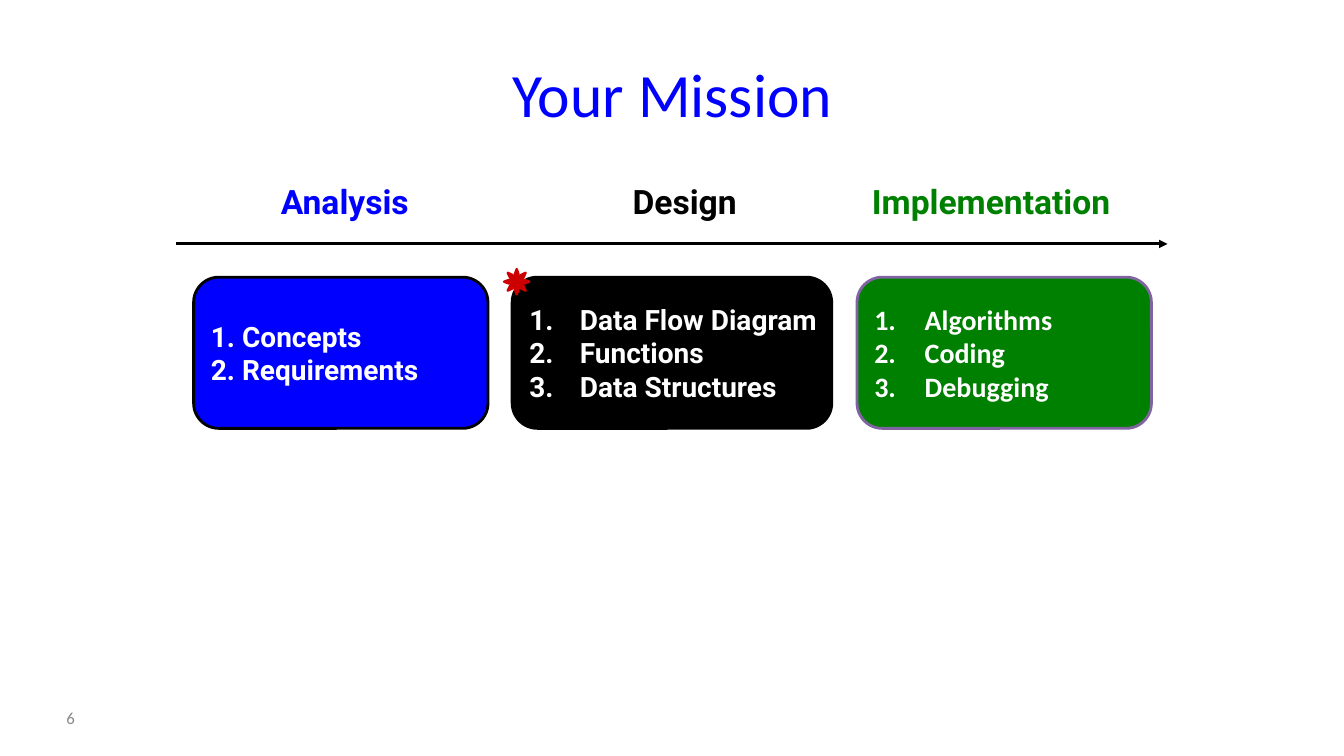
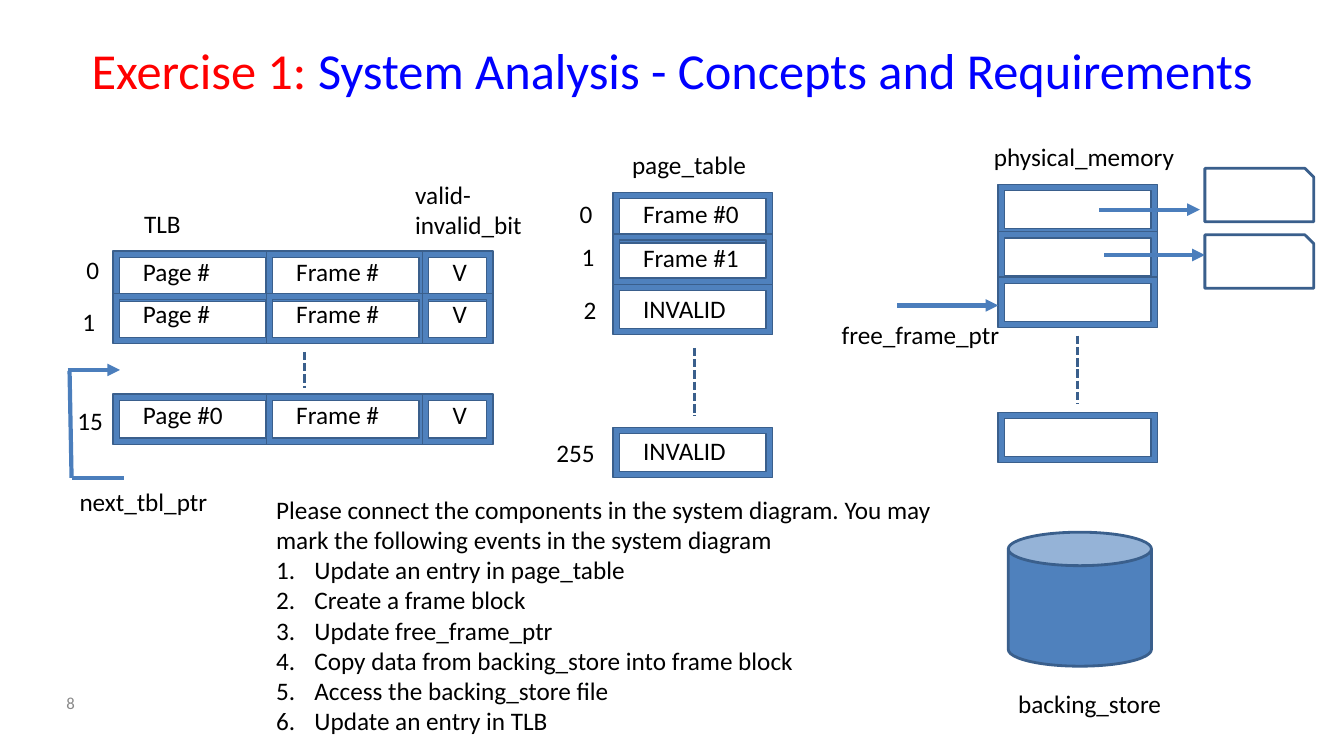
from lxml import etree
from pptx import Presentation
from pptx import util as u
from pptx.dml.color import RGBColor
from pptx.enum import dml, shapes, text
from pptx.oxml.ns import qn

BLUE, RED, GREEN = "0000FF", "FF0000", "008000"
BLACK, WHITE, GREY = "000000", "FFFFFF", "898989"
STEEL, EDGE, ARROW = "4F81BD", "3A5F8C", "4B7EBC"
PURPLE, CRIMSON = "8064A2", "CC0000"
SHAPE, ALIGN = shapes.MSO_SHAPE, text.PP_ALIGN
MIDDLE, TOP = text.MSO_ANCHOR.MIDDLE, text.MSO_ANCHOR.TOP


def rgb(color):
    return RGBColor.from_string(color)


class Slides:
    """Holds the shared style and the slide being drawn."""

    def __init__(self):
        self.deck = Presentation()
        self.deck.slide_width = u.Inches(13.33)
        self.deck.slide_height = u.Inches(7.5)
        self.page = None

    def new_page(self, title, number, top, height, size, number_top):
        """Start a slide; title is a list of (words, colour)."""
        self.page = self.deck.slides.add_slide(self.deck.slide_layouts[6])
        box = self.label("", 0.67, top, 12, height, size=size,
                         align=ALIGN.CENTER, anchor=MIDDLE)
        for words, color in title:
            span = box.text_frame.paragraphs[0].add_run()
            span.text = words
            span.font.color.rgb = rgb(color)
        self.label(number, 0.56, number_top, 1.44, 0.4, size=12,
                   color=GREY, anchor=MIDDLE)

    def set_text(self, frame, lines, size=18, color=BLACK, font="Calibri",
                 bold=False, align=ALIGN.LEFT, anchor=TOP, wrap=True,
                 numbered_from=None, indent=0.5):
        """Fill a text frame; lines from numbered_from on are numbered."""
        frame.word_wrap = wrap
        frame.vertical_anchor = anchor
        for index, line in enumerate(lines):
            para = frame.add_paragraph() if index else frame.paragraphs[0]
            if line:
                para.add_run().text = line
            para.alignment = align
            if numbered_from is not None and index >= numbered_from:
                props = para._p.get_or_add_pPr()
                props.set("marL", str(u.Inches(indent)))
                props.set("indent", str(-u.Inches(indent)))
                etree.SubElement(props, qn("a:buFont"), typeface="+mj-lt")
                etree.SubElement(props, qn("a:buAutoNum"),
                                 type="arabicPeriod")
            para.font.name = font
            para.font.size = u.Pt(size)
            para.font.bold = bold
            para.font.color.rgb = rgb(color)

    def label(self, words, left, top, width, height=0.4, **style):
        box = self.page.shapes.add_textbox(
            u.Inches(left), u.Inches(top), u.Inches(width), u.Inches(height))
        lines = [words] if isinstance(words, str) else words
        self.set_text(box.text_frame, lines, **style)
        return box

    def shape(self, kind, left, top, width, height, fill=None, line=EDGE,
              weight=2):
        shape = self.page.shapes.add_shape(
            kind, u.Inches(left), u.Inches(top),
            u.Inches(width), u.Inches(height))
        shape.shadow.inherit = False
        if fill:
            shape.fill.solid()
            shape.fill.fore_color.rgb = rgb(fill)
        else:
            shape.fill.background()
        shape.line.color.rgb = rgb(line)
        shape.line.width = u.Pt(weight)
        return shape

    def line(self, x1, y1, x2, y2, color=ARROW, weight=3, arrow=False,
             dashed=False):
        line = self.page.shapes.add_connector(
            shapes.MSO_CONNECTOR.STRAIGHT, u.Inches(x1), u.Inches(y1),
            u.Inches(x2), u.Inches(y2))
        line.line.color.rgb = rgb(color)
        line.line.width = u.Pt(weight)
        if dashed:
            line.line.dash_style = dml.MSO_LINE.SQUARE_DOT
        props = line._element.spPr
        if arrow:
            etree.SubElement(props.find(qn("a:ln")), qn("a:tailEnd"),
                             type="triangle")
        etree.SubElement(props, qn("a:effectLst"))

    def dots(self, x, top, bottom):
        self.line(x, top, x, bottom, EDGE, 2, dashed=True)

    def cell(self, left, top, width=1.58, words=None, words_top=0):
        """A framed table cell, with its words if it has any."""
        self.shape(SHAPE.FRAME, left, top, width, 0.5, STEEL, weight=1)
        if words:
            self.label(words, left + 0.2, words_top, width - 0.35, wrap=False)

    def card(self, left, width, lines, fill, line, font, numbered):
        card = self.shape(SHAPE.ROUNDED_RECTANGLE, left, 2.75, width, 1.5,
                          fill, line)
        self.set_text(card.text_frame, lines, 20, WHITE, font, True,
                      anchor=MIDDLE, wrap=False,
                      numbered_from=0 if numbered else None)


def mission(slides):
    slides.new_page([("Your Mission", BLUE)], "6", 0.3, 1.25, 44, 6.92)

    # Phase headings above the time line
    for words, left, width, color in (("Analysis", 1.92, 3, BLUE),
                                      ("Design", 5.08, 3.42, BLACK),
                                      ("Implementation", 8.37, 2.92, GREEN)):
        slides.label(words, left, 1.75, width, 0.5, size=24, color=color,
                     font="Roboto", bold=True, align=ALIGN.CENTER)
    slides.line(1.75, 2.42, 11.58, 2.42, BLACK, 2, arrow=True)

    # Phase cards
    slides.card(1.92, 2.92, ["1. Concepts", "2. Requirements"],
                BLUE, BLACK, "Roboto", False)
    slides.card(5.08, 3.17,
                ["Data Flow Diagram", "Functions", "Data Structures"],
                BLACK, BLACK, "Roboto", True)
    slides.card(8.5, 2.92, ["Algorithms", "Coding", "Debugging"],
                GREEN, PURPLE, "Calibri", True)
    slides.shape(SHAPE.SUN, 5, 2.67, 0.25, 0.25, CRIMSON, CRIMSON, 1.75)


def exercise(slides):
    slides.new_page([("Exercise 1: ", RED),
                     ("System Analysis - Concepts and Requirements", BLUE)],
                    "8", 0.24, 0.9, 36, 6.77)

    # Backing store
    slides.shape(SHAPE.CAN, 10, 5.28, 1.42, 1.33, STEEL)
    slides.label("backing_store", 10, 6.78, 1.67)

    # Physical memory and its frame blocks
    slides.label("physical_memory", 9.76, 1.35, 2.09)
    for top in (1.83, 2.3, 2.75, 4.09):
        slides.cell(9.9, top)
    slides.dots(10.69, 3.33, 4.01)
    for block_top, arrow_left, arrow_y in ((1.67, 10.9, 2.08),
                                           (2.33, 10.95, 2.53)):
        slides.shape(SHAPE.SNIP_1_RECTANGLE, 11.95, block_top, 1.08, 0.53)
        slides.line(arrow_left, arrow_y, arrow_left + 1, arrow_y, arrow=True)
    slides.line(8.9, 3.03, 9.9, 3.03, arrow=True)
    slides.label("free_frame_ptr", 8.25, 3.12, 1.85)

    # Page table
    slides.label("page_table", 6.17, 1.43, 1.45)
    for index, left, index_top, top, words, words_top in (
            ("0", 5.65, 1.92, 1.91, "Frame #0", 1.92),
            ("1", 5.67, 2.34, 2.32, "Frame #1", 2.36),
            ("2", 5.69, 2.87, 2.82, "INVALID", 2.86),
            ("255", 5.42, 4.29, 4.24, "INVALID", 4.27)):
        slides.cell(6.08, top, words=words, words_top=words_top)
        slides.label(index, left, index_top, 0.66)
    slides.dots(6.89, 3.45, 4.13)

    # TLB
    slides.label("TLB", 1.33, 2.02, 1.85)
    slides.label("valid-invalid_bit", 4.02, 1.73, 1.3, 0.71)
    for index, left, index_top, top, page_words in (
            ("0", 0.76, 2.47, 2.49, "Page #"),
            ("1", 0.72, 2.99, 2.91, "Page #"),
            ("15", 0.67, 3.97, 3.91, "Page #0")):
        for cell_left, width, words in ((1.12, 1.58, page_words),
                                        (2.64, 1.58, "Frame #"),
                                        (4.19, 0.7, "V")):
            slides.cell(cell_left, top, width, words, top)
        slides.label(index, left, index_top, 0.47)
    slides.dots(3.02, 3.49, 3.85)

    # Pointer to the next TLB entry
    slides.line(0.67, 3.67, 1.19, 3.67, arrow=True)
    slides.line(0.71, 4.74, 1.23, 4.74)
    slides.line(0.71, 4.74, 0.69, 3.68)
    slides.label("next_tbl_ptr", 0.69, 4.78, 1.51)

    # Task
    slides.label(["Please connect the components in the system diagram. "
                  "You may mark the following events in the system diagram",
                  "Update an entry in page_table",
                  "Create a frame block",
                  "Update free_frame_ptr",
                  "Copy data from backing_store into frame block",
                  "Access the backing_store file",
                  "Update an entry in TLB"],
                 2.64, 4.85, 6.75, 2.52, numbered_from=1, indent=0.38)


def main():
    slides = Slides()
    mission(slides)
    exercise(slides)
    slides.deck.save("out.pptx")


if __name__ == "__main__":
    main()
